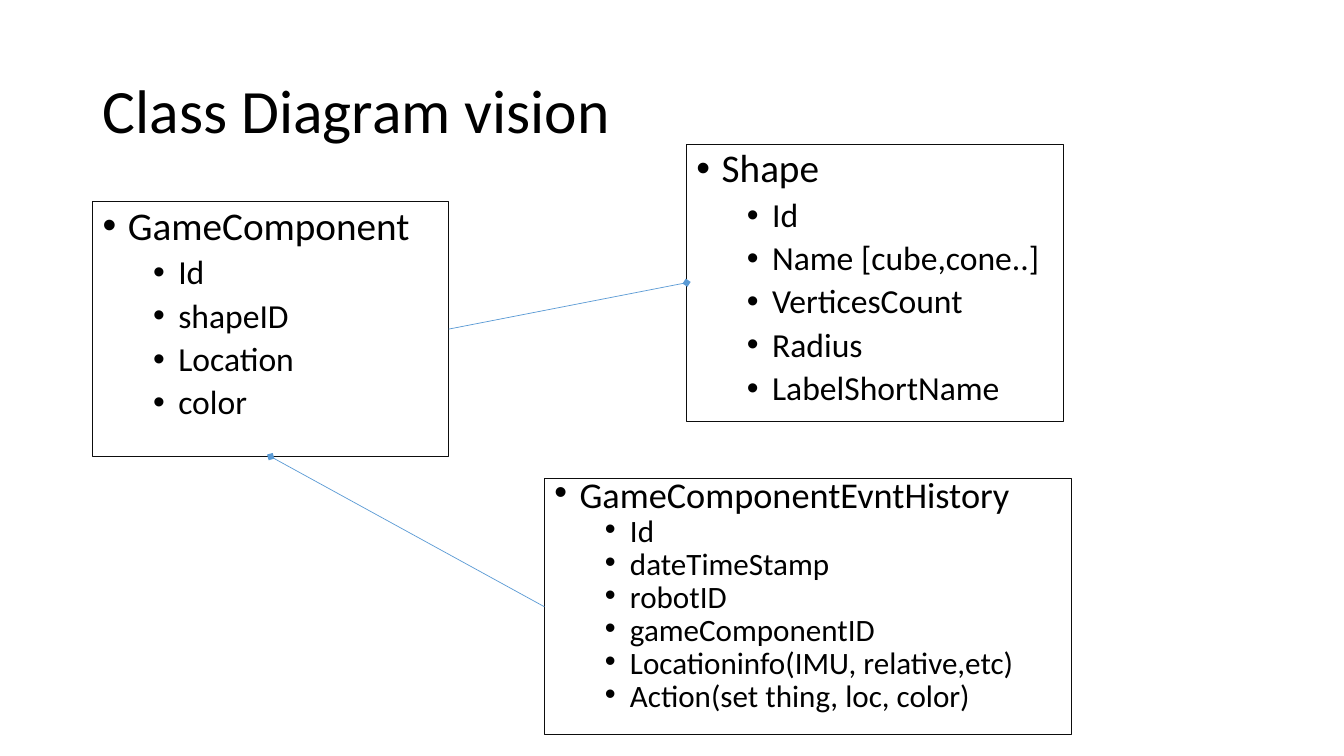
from dataclasses import dataclass

from lxml.etree import SubElement
from pptx import Presentation
from pptx.dml.color import RGBColor
from pptx.enum.shapes import MSO_CONNECTOR, MSO_SHAPE
from pptx.enum.text import MSO_ANCHOR, MSO_AUTO_SIZE, PP_ALIGN
from pptx.oxml.ns import qn
from pptx.util import Inches, Pt


@dataclass(frozen=True)
class Theme:
    font: str = "Calibri"
    ink: RGBColor = RGBColor(0x00, 0x00, 0x00)
    border: RGBColor = RGBColor(0x0D, 0x0D, 0x0D)
    link: RGBColor = RGBColor(0x5B, 0x9B, 0xD5)
    title_size: float = 44
    class_size: float = 28
    member_size: float = 24
    compact_class_size: float = 25.9
    compact_member_size: float = 22.2


THEME = Theme()
LEFT, BOTTOM, RIGHT = 1, 2, 3


def write(para, text, size, spacing=0.9, before=0):
    para.alignment = PP_ALIGN.LEFT
    para.line_spacing = spacing
    para.space_before = Pt(before)
    span = para.add_run()
    span.text = text
    span.font.name = THEME.font
    span.font.size = Pt(size)
    span.font.color.rgb = THEME.ink


def add_bullet(para, indent):
    properties = para._p.get_or_add_pPr()
    properties.set("marL", str(Inches(indent)))
    properties.set("indent", str(Inches(-0.25)))
    SubElement(properties, qn("a:buFont"), typeface="Arial")
    SubElement(properties, qn("a:buChar"), char="•")


def set_title(page, text):
    title = page.shapes.title
    title.left, title.top = Inches(0.92), Inches(0.4)
    title.width, title.height = Inches(11.5), Inches(1.45)
    frame = title.text_frame
    frame.auto_size = MSO_AUTO_SIZE.NONE
    frame.vertical_anchor = MSO_ANCHOR.MIDDLE
    write(frame.paragraphs[0], text, THEME.title_size)


def add_class(page, name, members, left, top, width, height, spacing=0.9,
              class_size=THEME.class_size, member_size=THEME.member_size):
    box = page.shapes.add_shape(
        MSO_SHAPE.RECTANGLE, Inches(left), Inches(top), Inches(width), Inches(height)
    )
    box.shadow.inherit = False
    box.fill.background()
    box.line.color.rgb = THEME.border
    box.line.width = Pt(0.75)
    frame = box.text_frame
    frame.word_wrap = True
    frame.vertical_anchor = MSO_ANCHOR.TOP
    heading = frame.paragraphs[0]
    write(heading, name, class_size, spacing=spacing, before=10)
    add_bullet(heading, 0.25)
    for member in members:
        para = frame.add_paragraph()
        para.level = 1
        write(para, member, member_size, spacing=spacing, before=5)
        add_bullet(para, 0.75)
    return box


def link_classes(page, source, source_side, target, target_side):
    link = page.shapes.add_connector(MSO_CONNECTOR.STRAIGHT, 0, 0, 0, 0)
    link.begin_connect(source, source_side)
    link.end_connect(target, target_side)
    link.line.color.rgb = THEME.link
    link.line.width = Pt(0.5)
    SubElement(link.line._get_or_add_ln(), qn("a:tailEnd"), type="diamond")
    SubElement(link._element.spPr, qn("a:effectLst"))


def main():
    deck = Presentation()
    deck.slide_width, deck.slide_height = Inches(13.33), Inches(7.5)
    page = deck.slides.add_slide(deck.slide_layouts[5])
    set_title(page, "Class Diagram vision")
    component = add_class(
        page, "GameComponent", ["Id", "shapeID", "Location", "color"],
        0.92, 2, 3.53, 2.53,
    )
    shape = add_class(
        page, "Shape",
        ["Id", "Name [cube,cone..]", "VerticesCount", "Radius", "LabelShortName"],
        6.81, 1.43, 3.74, 2.75,
    )
    history = add_class(
        page, "GameComponentEvntHistory",
        ["Id", "dateTimeStamp", "robotID", "gameComponentID",
         "Locationinfo(IMU, relative,etc)", "Action(set thing, loc, color)"],
        5.4, 4.75, 5.23, 2.54, spacing=0.7,
        class_size=THEME.compact_class_size, member_size=THEME.compact_member_size,
    )
    link_classes(page, history, LEFT, component, BOTTOM)
    link_classes(page, component, RIGHT, shape, LEFT)
    deck.save("out.pptx")


if __name__ == "__main__":
    main()
